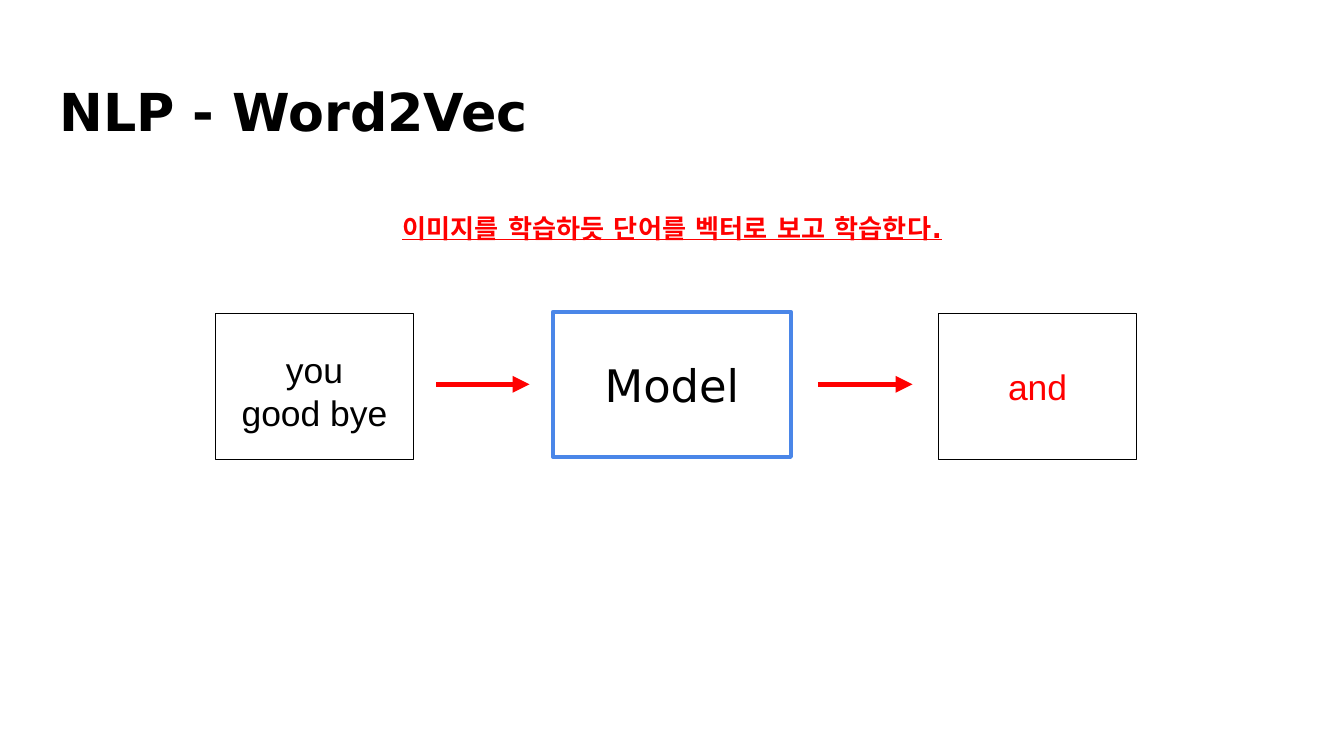
"""Build the Word2Vec slide: two words pass through a model to give a third."""
from dataclasses import dataclass

from lxml import etree
from pptx import Presentation
from pptx import util as u
from pptx.dml import color
from pptx.enum import shapes, text
from pptx.oxml import ns

PX = 4572
HUES = {"black": "000000", "red": "FF0000", "blue": "4A86E8", "white": "FFFFFF"}
SANS = "DejaVu Sans"
MID, TOP = text.MSO_ANCHOR.MIDDLE, text.MSO_ANCHOR.TOP
LEFT, CENTER = text.PP_ALIGN.LEFT, text.PP_ALIGN.CENTER


@dataclass(frozen=True)
class Line:
    words: str
    space: float = 1.0


@dataclass(frozen=True)
class Box:
    x: int
    y: int
    w: int
    h: int
    lines: tuple[Line, ...]
    size: int
    font: str = SANS
    hue: str = "black"
    bold: bool = False
    under: bool = False
    align: text.PP_ALIGN = CENTER
    anchor: text.MSO_ANCHOR = MID
    edge: str = ""
    width: float = 0.75


@dataclass(frozen=True)
class Arrow:
    start: int
    end: int
    y: int = 572


def rgb(hue: str) -> color.RGBColor:
    """Look up a colour by name."""
    return color.RGBColor.from_string(HUES[hue])


def write(frame, box: Box) -> None:
    """Fill a text frame with the lines of a box."""
    frame.word_wrap = True
    frame.vertical_anchor = box.anchor
    for side in ("left", "right", "top", "bottom"):
        setattr(frame, f"margin_{side}", 20 * PX)
    for i, line in enumerate(box.lines):
        para = frame.add_paragraph() if i else frame.paragraphs[0]
        para.alignment = box.align
        para.line_spacing = line.space
        run = para.add_run()
        run.text = line.words
        font = run.font
        font.size, font.bold, font.underline = u.Pt(box.size), box.bold, box.under
        font.color.rgb = rgb(box.hue)
        font.name = box.font
        etree.SubElement(run._r.get_or_add_rPr(), ns.qn("a:ea"), typeface=box.font)


def draw_box(slide, box: Box) -> None:
    """Draw a framed box, or plain text if it has no edge."""
    place = [n * PX for n in (box.x, box.y, box.w, box.h)]
    if box.edge:
        shape = slide.shapes.add_shape(shapes.MSO_SHAPE.RECTANGLE, *place)
        shape.shadow.inherit = False
        shape.fill.background()
        shape.line.color.rgb = rgb(box.edge)
        shape.line.width = u.Pt(box.width)
    else:
        shape = slide.shapes.add_textbox(*place)
    write(shape.text_frame, box)


def draw_arrow(slide, arrow: Arrow) -> None:
    """Draw a level red arrow."""
    y = arrow.y * PX
    link = slide.shapes.add_connector(
        shapes.MSO_CONNECTOR.STRAIGHT, arrow.start * PX, y, arrow.end * PX, y)
    link.line.color.rgb = rgb("red")
    link.line.width = u.Pt(3)
    etree.SubElement(link.line._get_or_add_ln(), ns.qn("a:tailEnd"), type="triangle")
    etree.SubElement(link._element.spPr, ns.qn("a:effectLst"))


def word_box(x: int, *lines: Line, hue: str = "black",
             anchor: text.MSO_ANCHOR = MID) -> Box:
    """Make a black frame for input or output words."""
    return Box(x, 467, 294, 217, lines, 19, "Arial", hue, anchor=anchor, edge="black")


TITLE = Box(69, 98, 1864, 126, (Line("NLP - Word2Vec"),), 28, bold=True,
            align=LEFT, anchor=TOP)
MODEL = Box(823, 464, 354, 216, (Line("Model"),), 24, edge="blue", width=2.25)
INPUT = word_box(321, Line("you", 1.5), Line("good bye"), anchor=TOP)
RESULT = word_box(1397, Line("and"), hue="red")
CLAIM = Box(475, 273, 1050, 110,
            (Line("이미지를 학습하듯 단어를 벡터로 보고 학습한다.", 1.5),), 14,
            hue="red", bold=True, under=True)
ARROWS = (Arrow(649, 788), Arrow(1217, 1358))


def main() -> None:
    """Build and save the deck."""
    deck = Presentation()
    deck.slide_width, deck.slide_height = 2000 * PX, 1125 * PX
    slide = deck.slides.add_slide(deck.slide_layouts[6])
    back = slide.background.fill
    back.solid()
    back.fore_color.rgb = rgb("white")
    for box in (TITLE, MODEL):
        draw_box(slide, box)
    for arrow in ARROWS:
        draw_arrow(slide, arrow)
    for box in (INPUT, RESULT, CLAIM):
        draw_box(slide, box)
    deck.save("out.pptx")


if __name__ == "__main__":
    main()
